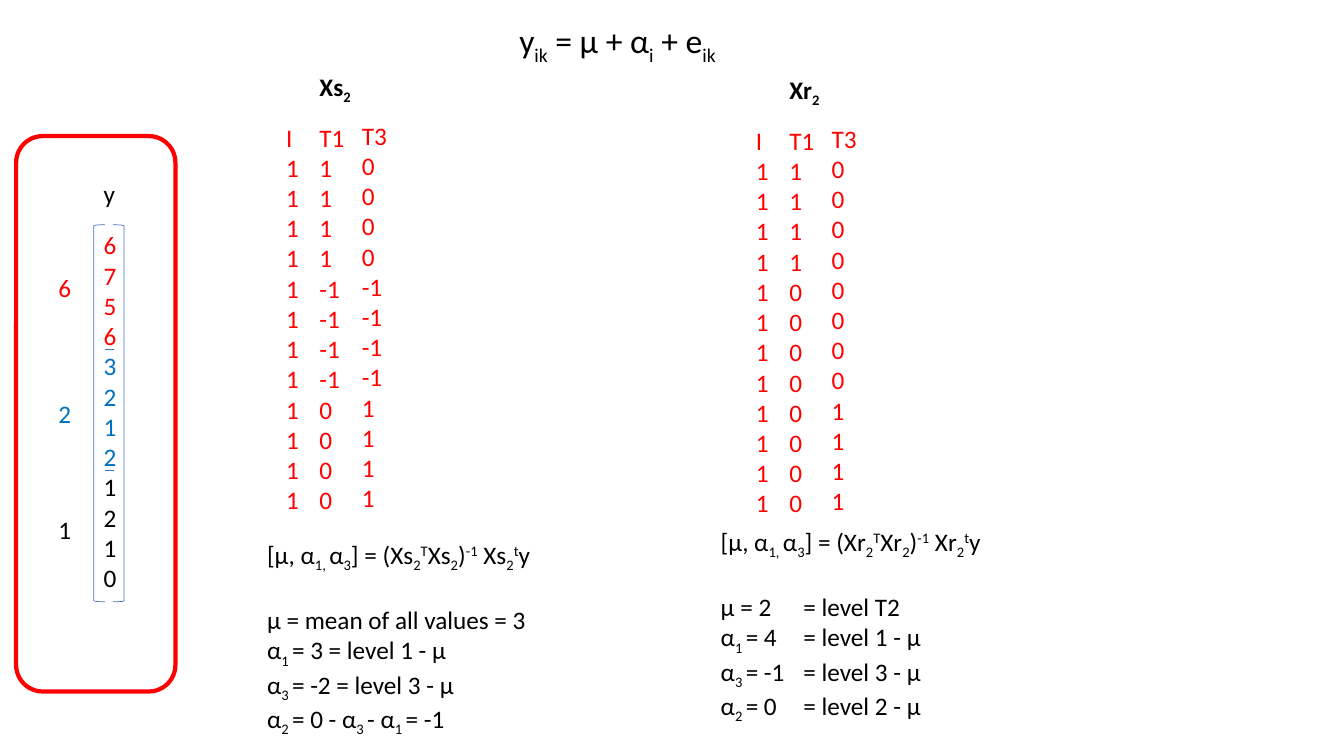
from lxml import etree
from pptx import Presentation
from pptx.dml.color import RGBColor
from pptx.enum.shapes import MSO_CONNECTOR as CONN, MSO_SHAPE as SHAPE
from pptx.enum.text import MSO_ANCHOR as ANCHOR, MSO_AUTO_SIZE as AUTO, PP_ALIGN as ALIGN
from pptx.oxml.ns import qn
from pptx.util import Inches, Pt

COLORS = {"black": "000000", "red": "FF0000", "blue": "0070C0", "line": "4472C4"}


def rgb(name):
    """Return the named colour."""
    return RGBColor.from_string(COLORS[name])


def add_runs(p, text, size=18, color="black", bold=False, font="Calibri"):
    """Write text into a paragraph; {_x} is subscript and {^x} superscript."""
    for i, part in enumerate(text.replace("}", "{").split("{")):
        if not part:
            continue
        r = p.add_run()
        r.text = part[1:] if i % 2 else part
        r.font.name, r.font.size, r.font.bold = font, Pt(size), bold
        r.font.color.rgb = rgb(color)
        if i % 2:
            base = "-25000" if part[0] == "_" else "30000"
            r.font._element.set("baseline", base)


class ModelSlide:
    """Holds the current slide and its line style."""

    def __init__(self, prs):
        """Add a title-only slide."""
        self.s = prs.slides.add_slide(prs.slide_layouts[5])
        self.thin = 0.5

    def title(self, text, x, y, w, h):
        """Place and format the title placeholder."""
        sp = self.s.shapes.title
        sp.left, sp.top, sp.width, sp.height = map(Inches, (x, y, w, h))
        tf = sp.text_frame
        tf.word_wrap, tf.auto_size, tf.vertical_anchor = True, AUTO.NONE, ANCHOR.TOP
        tf.paragraphs[0].alignment = ALIGN.LEFT
        add_runs(tf.paragraphs[0], text, size=24)

    def text(self, lines, x, y, w, h=0.4, wrap=True, colors=("black",), **fmt):
        """Add a text box with one paragraph per line, and return its paragraphs."""
        sp = self.s.shapes.add_textbox(*map(Inches, (x, y, w, h)))
        tf = sp.text_frame
        tf.word_wrap, tf.auto_size = wrap, AUTO.SHAPE_TO_FIT_TEXT
        for i, line in enumerate(lines):
            p = tf.add_paragraph() if i else tf.paragraphs[0]
            add_runs(p, line, color=colors[i % len(colors)], **fmt)
        return tf.paragraphs

    def outline(self, kind, x, y, w, h, color="line", width=None, rotation=0):
        """Add an unfilled preset shape."""
        sp = self.s.shapes.add_shape(kind, *map(Inches, (x, y, w, h)))
        sp.shadow.inherit = False
        sp.fill.background()
        sp.line.color.rgb, sp.line.width = rgb(color), Pt(width or self.thin)
        sp.rotation = rotation

    def divider(self, x, y, w):
        """Add a thin horizontal line."""
        sp = self.s.shapes.add_connector(CONN.STRAIGHT, *map(Inches, (x, y, x + w, y)))
        sp.line.color.rgb, sp.line.width = rgb("line"), Pt(self.thin)
        etree.SubElement(sp._element.spPr, qn("a:effectLst"))

    def matrix(self, name, x, y, t1, t3):
        """Add a design matrix with its heading; each level has four rows."""
        columns = (("I", (1, 1, 1), 0, 0, 0.34),
                   ("T1", t1, 0.33, 0, 0.46),
                   ("T3", t3, 0.75, -0.02, 0.47))
        for head, levels, dx, dy, w in columns:
            rows = [head] + [str(v) for v in levels for _ in range(4)]
            self.text(rows, x + dx, y + dy, w, 4.04, wrap=False, colors=("red",))
        self.text([name + "{_2}"], x + 0.33, y - 0.5, 0.83, bold=True)

    def solution(self, name, x, y, w, lines, tab=None):
        """Add the estimating equation and the effects below it."""
        n = name + "{_2}"
        formula = f"[μ, α{{_1, }}α{{_3}}] = ({n}{{^T}}{n}){{^-1}} {n}{{^t}}y"
        ps = self.text([formula] + lines, x, y, w, 1.92)
        ps[1].space_before = Pt(22)
        for p in ps[1:] if tab else ():
            tabs = etree.SubElement(p._p.get_or_add_pPr(), qn("a:tabLst"))
            etree.SubElement(tabs, qn("a:tab"), pos=str(Inches(tab)), algn="l")


def main():
    """Build and save the slide."""
    prs = Presentation()
    prs.slide_width, prs.slide_height = Inches(13.33), Inches(7.5)
    m = ModelSlide(prs)
    m.title("y{_ik} = μ + α{_i} + e{_ik}", 5.05, 0.15, 6.67, 0.5)

    m.text("675632121210", 0.93, 2.23, 0.33, 3.74, wrap=False,
           colors=["red"] * 4 + ["blue"] * 4 + ["black"] * 4)
    m.text(["y"], 0.93, 1.72, 0.39)
    for x, rotation in ((0.93, 0), (1.12, 180)):
        m.outline(SHAPE.LEFT_BRACKET, x, 2.23, 0.11, 3.74, rotation=rotation)
    for y in (3.47, 4.67):
        m.divider(1.04, y, 0.09)
    for mean, y, color in (("6", 2.65, "red"), ("2", 3.9, "blue"), ("1", 5.05, "black")):
        m.text([mean], 0.48, y, 0.3, colors=(color,))
    m.outline(SHAPE.ROUNDED_RECTANGLE, 0.16, 1.35, 1.58, 5.51, color="red", width=3)

    m.matrix("Xs", 2.74, 1.16, (1, -1, 0), (0, -1, 1))
    m.matrix("Xr", 7.4, 1.19, (1, 0, 0), (0, 0, 1))
    m.solution("Xs", 2.55, 5.3, 3.22, [
        "μ = mean of all values = 3",
        "α{_1 }= 3 = level 1 - μ",
        "α{_3 }= -2 = level 3 - μ",
        "α{_2 }= 0 - α{_3 }- α{_1 }= -1"])
    m.solution("Xr", 7.05, 5.17, 4.51, [
        "μ = 2\t= level T2",
        "α{_1 }= 4\t= level 1 - μ",
        "α{_3 }= -1\t= level 3 - μ",
        "α{_2 }= 0\t= level 2 - μ"], tab=0.82)
    prs.save("out.pptx")


if __name__ == "__main__":
    main()
